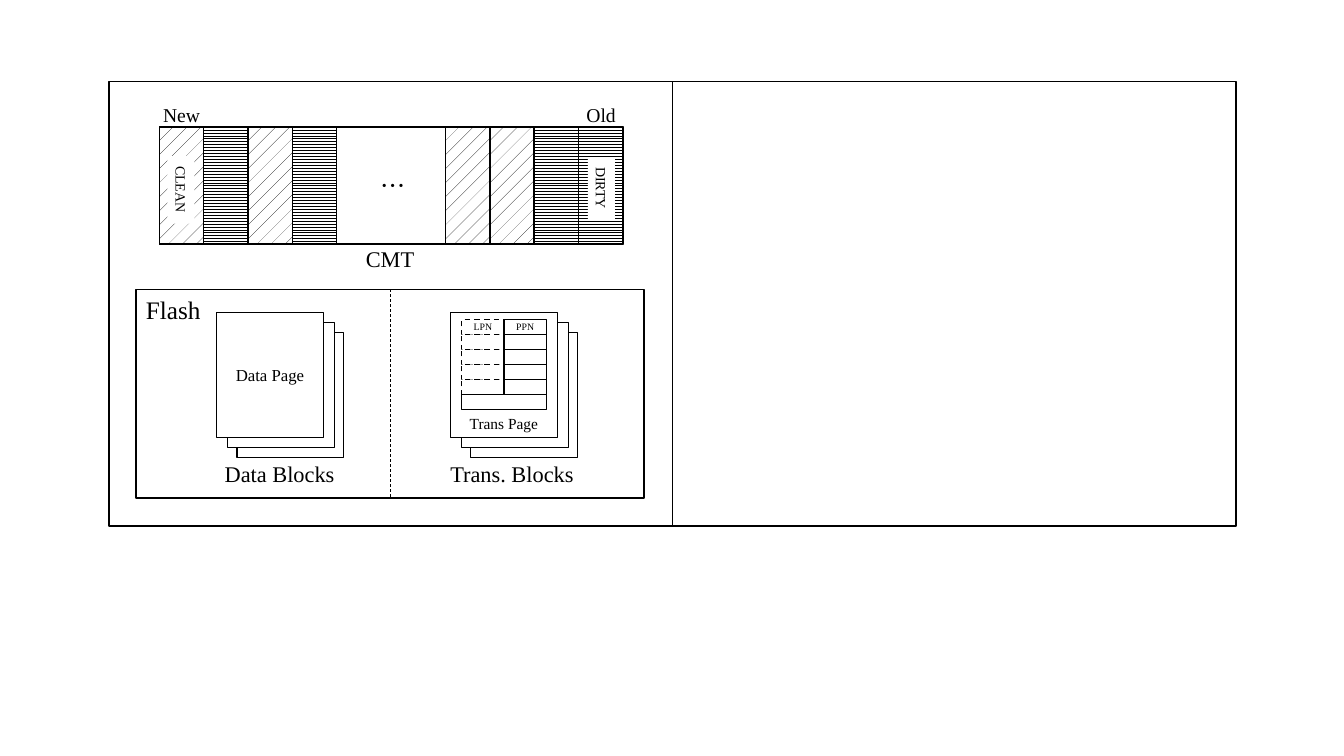
from lxml import etree
from pptx import Presentation
from pptx.dml.color import RGBColor
from pptx.enum.dml import MSO_LINE, MSO_PATTERN
from pptx.enum.shapes import MSO_CONNECTOR, MSO_SHAPE
from pptx.enum.text import MSO_ANCHOR, MSO_AUTO_SIZE, PP_ALIGN
from pptx.oxml.ns import qn
from pptx.util import Pt

BLACK, WHITE = "000000", "FFFFFF"
SERIF = "Times New Roman"
CLEAN, DIRTY = MSO_PATTERN.PERCENT_5, MSO_PATTERN.ZIG_ZAG


def color(value):
    return RGBColor.from_string(value)


def write(sp, text, size, font=SERIF, align=PP_ALIGN.LEFT, anchor=MSO_ANCHOR.TOP):
    tf = sp.text_frame
    tf.text = text
    tf.vertical_anchor = anchor
    p = tf.paragraphs[0]
    p.alignment = align
    f = p.runs[0].font
    f.name, f.size, f.color.rgb = font, Pt(size), color(BLACK)


def add_box(s, x, y, w, h, pattern=None, dash=None):
    sp = s.shapes.add_shape(MSO_SHAPE.RECTANGLE, Pt(x), Pt(y), Pt(w), Pt(h))
    sp.shadow.inherit = False
    if pattern:
        sp.fill.patterned()
        sp.fill.pattern = pattern
        sp.fill.fore_color.rgb, sp.fill.back_color.rgb = color(BLACK), color(WHITE)
    else:
        sp.fill.solid()
        sp.fill.fore_color.rgb = color(WHITE)
    sp.line.color.rgb = color(BLACK)
    sp.line.width = Pt(1)
    if dash:
        sp.line.dash_style = dash
    return sp


def add_label(s, x, y, w, h, text, size, font=SERIF):
    sp = s.shapes.add_textbox(Pt(x), Pt(y), Pt(w), Pt(h))
    write(sp, text, size, font)
    sp.text_frame.word_wrap = False
    sp.text_frame.auto_size = MSO_AUTO_SIZE.SHAPE_TO_FIT_TEXT
    return sp


def add_tag(s, x, y, w, h, text):
    """White label turned to read downwards."""
    sp = add_label(s, x, y, w, h, text, 10)
    sp.fill.solid()
    sp.fill.fore_color.rgb = color(WHITE)
    sp.rotation = 90


def add_divider(s, box, dash=None):
    """Vertical line joining the top and bottom middles of a box."""
    x = box.left + box.width // 2
    line = s.shapes.add_connector(MSO_CONNECTOR.STRAIGHT, x, box.top,
                                  x, box.top + box.height)
    line.begin_connect(box, 0)
    line.end_connect(box, 2)
    line.line.color.rgb = color(BLACK)
    line.line.width = Pt(0.5)
    if dash:
        line.line.dash_style = dash
    etree.SubElement(line._element.spPr, qn("a:effectLst"))


def add_page_stack(s, x, y):
    """Three overlapping pages; returns the front one."""
    for dx, dy in ((14.4, 14.4), (7.9, 7.2), (0, 0)):
        page = add_box(s, x + dx, y + dy, 76.3, 89.3)
    return page


def add_mapping_table(s, x, y, w=30.2, h=10.7, rows=5):
    """Grid of page numbers with a dashed left column and a full-width last row."""
    for row in range(rows):
        for col, (name, dash) in enumerate((("LPN", MSO_LINE.DASH), ("PPN", None))):
            cell = add_box(s, x + col * w, y + row * h, w, h, dash=dash)
            if row == 0:
                write(cell, name, 7, align=PP_ALIGN.CENTER, anchor=MSO_ANCHOR.MIDDLE)
    add_box(s, x, y + rows * h, 2 * w, h)


def add_flash(s):
    flash = add_box(s, 97.2, 206.6, 362.9, 149.2)
    write(flash, "Flash", 18)
    add_divider(s, flash, MSO_LINE.DASH)
    add_label(s, 153.4, 325.4, 94.3, 26.6, "Data Blocks", 16)
    add_label(s, 314.6, 325.4, 103.7, 26.6, "Trans. Blocks", 16)
    data_page = add_page_stack(s, 154.8, 223.2)
    write(data_page, "Data Page", 12, align=PP_ALIGN.CENTER, anchor=MSO_ANCHOR.MIDDLE)
    trans_page = add_page_stack(s, 321.8, 223.2)
    write(trans_page, "Trans Page", 11, align=PP_ALIGN.CENTER, anchor=MSO_ANCHOR.BOTTOM)
    add_mapping_table(s, 329.8, 228.2)


def add_cmt(s):
    top, height, pitch = 90.7, 83.5, 31.7
    add_box(s, 113.8, top, 331.2, height)
    for left, entries in ((113.8, (CLEAN, DIRTY, CLEAN, DIRTY)),
                          (318.2, (CLEAN, CLEAN, DIRTY, DIRTY))):
        for i, pattern in enumerate(entries):
            add_box(s, left + i * pitch, top, pitch, height, pattern)
    add_label(s, 265, 118.1, 28.1, 28.8, "…", 18, "Noto Sans CJK KR")
    add_label(s, 411.8, 69.8, 36, 24.5, "Old", 14)
    add_label(s, 109.4, 69.8, 41, 24.5, "New", 14)
    add_label(s, 254.2, 171.4, 49.7, 26.6, "CMT", 16)
    add_tag(s, 105.1, 126, 48.2, 19.4, "CLEAN")
    add_tag(s, 406.8, 125.3, 45.4, 19.4, "DIRTY")


def main():
    prs = Presentation()
    prs.slide_width, prs.slide_height = Pt(960), Pt(540)
    s = prs.slides.add_slide(prs.slide_layouts[6])
    frame = add_box(s, 77.8, 58.3, 805, 317.5)
    add_divider(s, frame)
    add_flash(s)
    add_cmt(s)
    prs.save("out.pptx")


if __name__ == "__main__":
    main()
